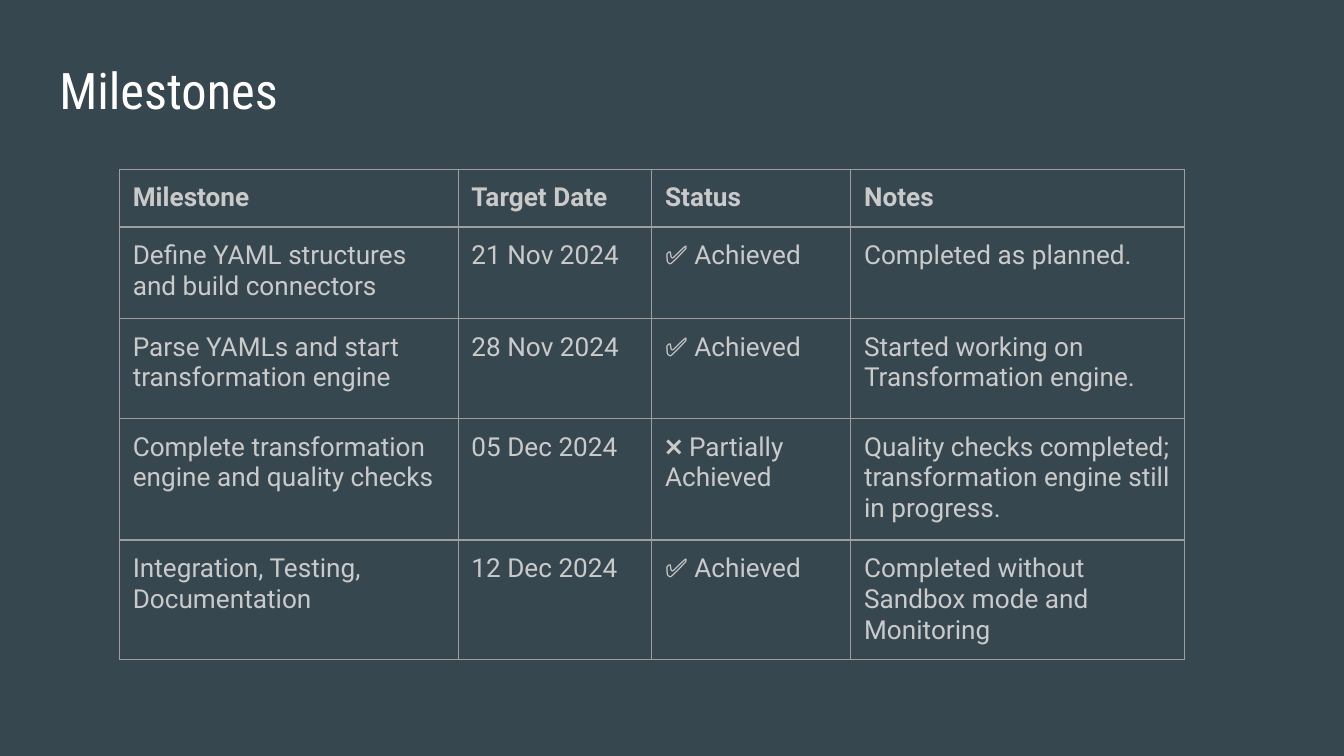
from dataclasses import dataclass

from lxml import etree
from pptx import Presentation
from pptx import util as u
from pptx.dml import color
from pptx.enum import text
from pptx.oxml import ns


@dataclass(frozen=True)
class Theme:
    backdrop: str = "37474F"
    title_color: str = "FFFFFF"
    body_color: str = "CACACA"
    border_color: str = "9E9E9E"
    title_font: str = "Roboto Condensed"
    body_font: str = "Roboto"
    title_size: int = 27
    body_size: int = 14
    border_width: float = 0.75


THEME = Theme()
INSET = u.Cm(0.25)
FRAME_FORMAT = {
    "margin_left": INSET,
    "margin_right": INSET,
    "margin_top": INSET,
    "margin_bottom": INSET,
    "vertical_anchor": text.MSO_ANCHOR.TOP,
    "word_wrap": True,
}
TITLE_FORMAT = {"name": THEME.title_font, "size": u.Pt(THEME.title_size), "bold": False}
BODY_FORMAT = {"name": THEME.body_font, "size": u.Pt(THEME.body_size), "bold": False}
HEADER_FORMAT = {**BODY_FORMAT, "bold": True}

COLUMN_WIDTHS = [6.4, 3.66, 3.76, 6.3]
ROW_HEIGHTS = [1.09, 1.73, 1.89, 2.3, 2.26]
MILESTONES = [
    ("Milestone", "Target Date", "Status", "Notes"),
    ("Define YAML structures and build connectors", "21 Nov 2024",
     "✅ Achieved", "Completed as planned."),
    ("Parse YAMLs and start transformation engine", "28 Nov 2024",
     "✅ Achieved", "Started working on Transformation engine."),
    ("Complete transformation engine and quality checks", "05 Dec 2024",
     "❌ Partially Achieved",
     "Quality checks completed; transformation engine still in progress."),
    ("Integration, Testing, Documentation", "12 Dec 2024",
     "✅ Achieved", "Completed without Sandbox mode and Monitoring"),
]


def apply_format(target, values):
    for name, value in values.items():
        setattr(target, name, value)


def write_text(frame, words, font_format, font_color):
    para = frame.paragraphs[0]
    para.alignment = text.PP_ALIGN.LEFT
    span = para.add_run()
    span.text = words
    apply_format(span.font, font_format)
    span.font.color.rgb = color.RGBColor.from_string(font_color)


def draw_borders(cell):
    properties = cell._tc.get_or_add_tcPr()
    for position, side in enumerate(("lnL", "lnR", "lnT", "lnB")):
        line = etree.Element(ns.qn(f"a:{side}"), w=str(u.Pt(THEME.border_width)))
        fill = etree.SubElement(line, ns.qn("a:solidFill"))
        etree.SubElement(fill, ns.qn("a:srgbClr"), val=THEME.border_color)
        properties.insert(position, line)


def place_title(page, left, top, width, height):
    title = page.shapes.title
    apply_format(title, {"left": left, "top": top, "width": width, "height": height})
    apply_format(title.text_frame, {**FRAME_FORMAT, "auto_size": text.MSO_AUTO_SIZE.NONE})
    write_text(title.text_frame, "Milestones", TITLE_FORMAT, THEME.title_color)


def place_milestones(page, left, top, width, height):
    table = page.shapes.add_table(
        len(MILESTONES), len(COLUMN_WIDTHS), left, top, width, height).table
    for column, share in zip(table.columns, COLUMN_WIDTHS):
        column.width = int(width * share / sum(COLUMN_WIDTHS))
    for row, share in zip(table.rows, ROW_HEIGHTS):
        row.height = int(height * share / sum(ROW_HEIGHTS))
    table.horz_banding = False
    for row_index, entries in enumerate(MILESTONES):
        font_format = BODY_FORMAT if row_index else HEADER_FORMAT
        for column_index, words in enumerate(entries):
            cell = table.cell(row_index, column_index)
            apply_format(cell, {k: v for k, v in FRAME_FORMAT.items() if k != "word_wrap"})
            cell.fill.background()
            draw_borders(cell)
            write_text(cell.text_frame, words, font_format, THEME.body_color)


def main():
    deck = Presentation()
    apply_format(deck, {"slide_width": u.Cm(25.4), "slide_height": u.Cm(14.29)})
    page = deck.slides.add_slide(deck.slide_layouts.get_by_name("Title Only"))
    page.background.fill.solid()
    page.background.fill.fore_color.rgb = color.RGBColor.from_string(THEME.backdrop)
    place_title(page, u.Cm(0.87), u.Cm(0.87), u.Cm(23.67), u.Cm(1.6))
    place_milestones(page, u.Cm(2.26), u.Cm(3.2),
                     u.Cm(sum(COLUMN_WIDTHS)), u.Cm(sum(ROW_HEIGHTS)))
    deck.save("out.pptx")


if __name__ == "__main__":
    main()
